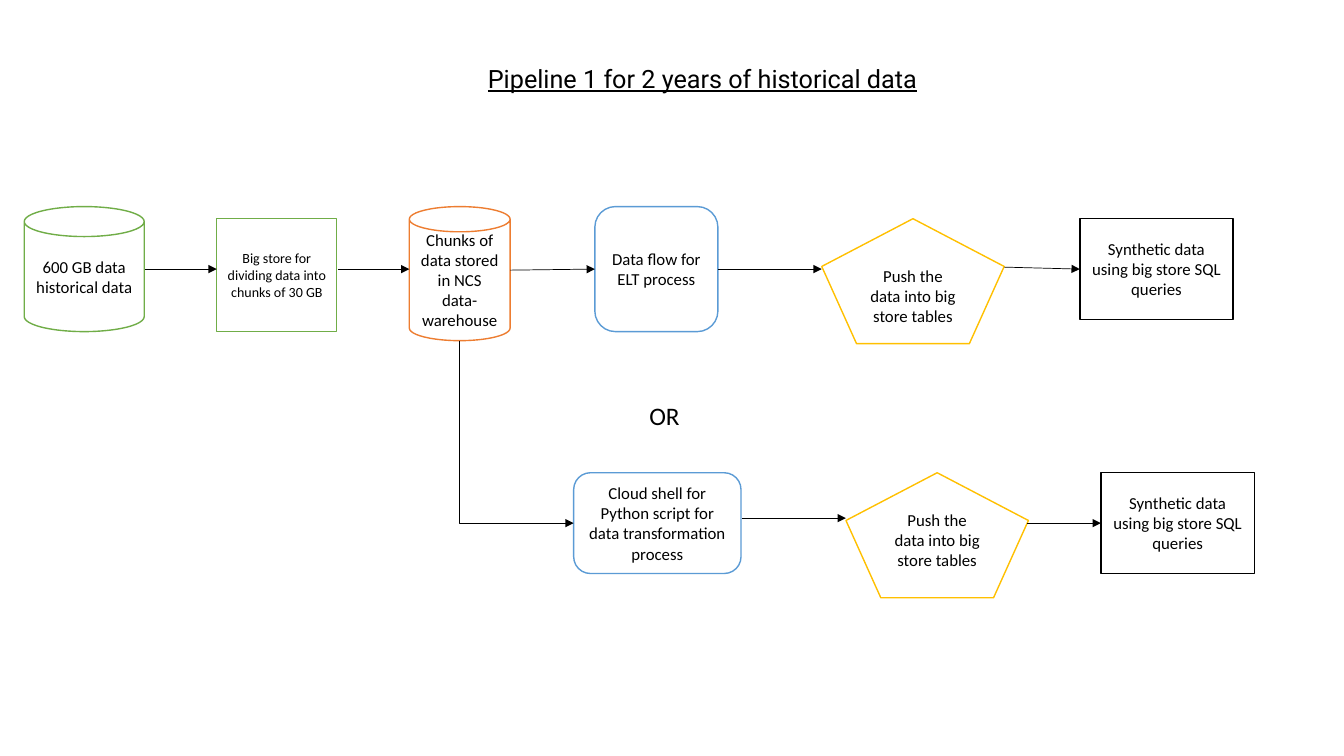
from dataclasses import dataclass

from lxml import etree
from pptx import Presentation
from pptx.dml.color import RGBColor
from pptx.enum.shapes import MSO_CONNECTOR, MSO_SHAPE
from pptx.enum.text import MSO_ANCHOR, MSO_AUTO_SIZE, PP_ALIGN
from pptx.oxml.ns import qn
from pptx.util import Inches, Pt

CAN, RECT, ROUNDED, PENTAGON = (
    MSO_SHAPE.CAN, MSO_SHAPE.RECTANGLE, MSO_SHAPE.ROUNDED_RECTANGLE, MSO_SHAPE.REGULAR_PENTAGON)
STRAIGHT, ELBOW = MSO_CONNECTOR.STRAIGHT, MSO_CONNECTOR.ELBOW
CENTER, LEFT = PP_ALIGN.CENTER, PP_ALIGN.LEFT
LEFT_SIDE, RIGHT_SIDE = 1, 3


@dataclass(frozen=True)
class Theme:
    ink: RGBColor = RGBColor(0, 0, 0)
    paper: RGBColor = RGBColor(255, 255, 255)
    green: RGBColor = RGBColor(0x70, 0xAD, 0x47)
    orange: RGBColor = RGBColor(0xED, 0x7D, 0x31)
    blue: RGBColor = RGBColor(0x5B, 0x9B, 0xD5)
    gold: RGBColor = RGBColor(0xFF, 0xC0, 0x00)
    body_font: str = "Calibri"
    title_font: str = "Roboto"
    heading: Pt = Pt(18)
    body: Pt = Pt(12)
    small: Pt = Pt(10)
    outline: Pt = Pt(1)
    arrow: Pt = Pt(0.5)


theme = Theme()


def write(frame, text, size, font=theme.body_font, align=CENTER):
    frame.word_wrap = True
    paragraph = frame.paragraphs[0]
    paragraph.text = text
    paragraph.alignment = align
    paragraph.font.size = size
    paragraph.font.name = font
    paragraph.font.color.rgb = theme.ink
    return paragraph


def add_arrow(kind, start, end):
    arrow = slide.shapes.add_connector(kind, *(Inches(v) for v in start + end))
    arrow.line.color.rgb = theme.ink
    arrow.line.width = theme.arrow
    etree.SubElement(arrow.line._get_or_add_ln(), qn("a:tailEnd"), type="triangle")
    etree.SubElement(arrow._element.spPr, qn("a:effectLst"))
    return arrow


prs = Presentation()
prs.slide_width, prs.slide_height = Inches(13.33), Inches(7.5)
slide = prs.slides.add_slide(prs.slide_layouts[6])

push_text = "Push the data into big store tables"
synthetic_text = "Synthetic data using big store SQL queries"
stages = {
    "history": (CAN, 0.24, 2.05, 1.19, 1.24, theme.green, theme.body,
                "600 GB data historical data"),
    "split": (RECT, 2.15, 2.17, 1.19, 1.12, theme.green, theme.small,
              "Big store for dividing data into chunks of 30 GB"),
    "chunks": (CAN, 4.06, 2.05, 1, 1.33, theme.orange, theme.body,
               "Chunks of data stored in NCS data-warehouse"),
    "flow": (ROUNDED, 5.9, 2.05, 1.22, 1.24, theme.blue, theme.body,
             "Data flow for ELT process"),
    "shell": (ROUNDED, 5.69, 4.69, 1.66, 1, theme.blue, theme.body,
              "Cloud shell for Python script for data transformation process"),
    "flow push": (PENTAGON, 8.15, 2.17, 1.81, 1.24, theme.gold, theme.body, push_text),
    "shell push": (PENTAGON, 8.39, 4.69, 1.81, 1.24, theme.gold, theme.body, push_text),
    "flow result": (RECT, 10.71, 2.17, 1.52, 1, theme.ink, theme.body, synthetic_text),
    "shell result": (RECT, 10.92, 4.69, 1.52, 1, theme.ink, theme.body, synthetic_text),
}
stage_shapes = {}
for stage, (outline, left, top, width, height, color, size, text) in stages.items():
    shape = slide.shapes.add_shape(
        outline, Inches(left), Inches(top), Inches(width), Inches(height))
    shape.shadow.inherit = False
    shape.fill.solid()
    shape.fill.fore_color.rgb = theme.paper
    shape.line.color.rgb = color
    shape.line.width = theme.outline
    shape.text_frame.vertical_anchor = MSO_ANCHOR.MIDDLE
    write(shape.text_frame, text, size)
    stage_shapes[stage] = shape
# The lower pentagon's label sits one half line higher
stage_shapes["shell push"].text_frame.margin_bottom = Inches(0.25)

# Start, end, stage joined at the start, stage joined at the end
flows = [
    ((1.44, 2.67), (2.15, 2.67), None, None),
    ((3.35, 2.67), (4.06, 2.67), None, None),
    ((5.06, 2.68), (5.9, 2.67), None, "flow"),
    ((7.12, 2.67), (8.15, 2.67), "flow", None),
    ((9.96, 2.65), (10.71, 2.67), None, "flow result"),
    ((7.36, 5.14), (8.39, 5.14), None, None),
    ((10.19, 5.19), (10.92, 5.19), None, "shell result"),
]
for start, end, source, target in flows:
    arrow = add_arrow(STRAIGHT, start, end)
    if source:
        arrow.begin_connect(stage_shapes[source], RIGHT_SIDE)
    if target:
        arrow.end_connect(stage_shapes[target], LEFT_SIDE)

# One-bend branch from the chunks down to the shell, turned by 270 degrees
branch = add_arrow(ELBOW, (6.03, 3.72), (4.22, 4.85))
branch._element.spPr.find(qn("a:prstGeom")).set("prst", "bentConnector2")
branch._element.spPr.find(qn("a:xfrm")).set("rot", str(270 * 60000))

labels = [
    ("OR", 5.9, 3.92, 1.38, theme.body_font, CENTER, False),
    ("Pipeline 1 for 2 years of historical data", 4.74, 0.58, 4.55,
     theme.title_font, LEFT, True),
]
for text, left, top, width, font, align, underline in labels:
    label = slide.shapes.add_textbox(Inches(left), Inches(top), Inches(width), Inches(0.4))
    paragraph = write(label.text_frame, text, theme.heading, font, align)
    paragraph.font.underline = underline
    label.text_frame.auto_size = MSO_AUTO_SIZE.SHAPE_TO_FIT_TEXT

prs.save("out.pptx")
